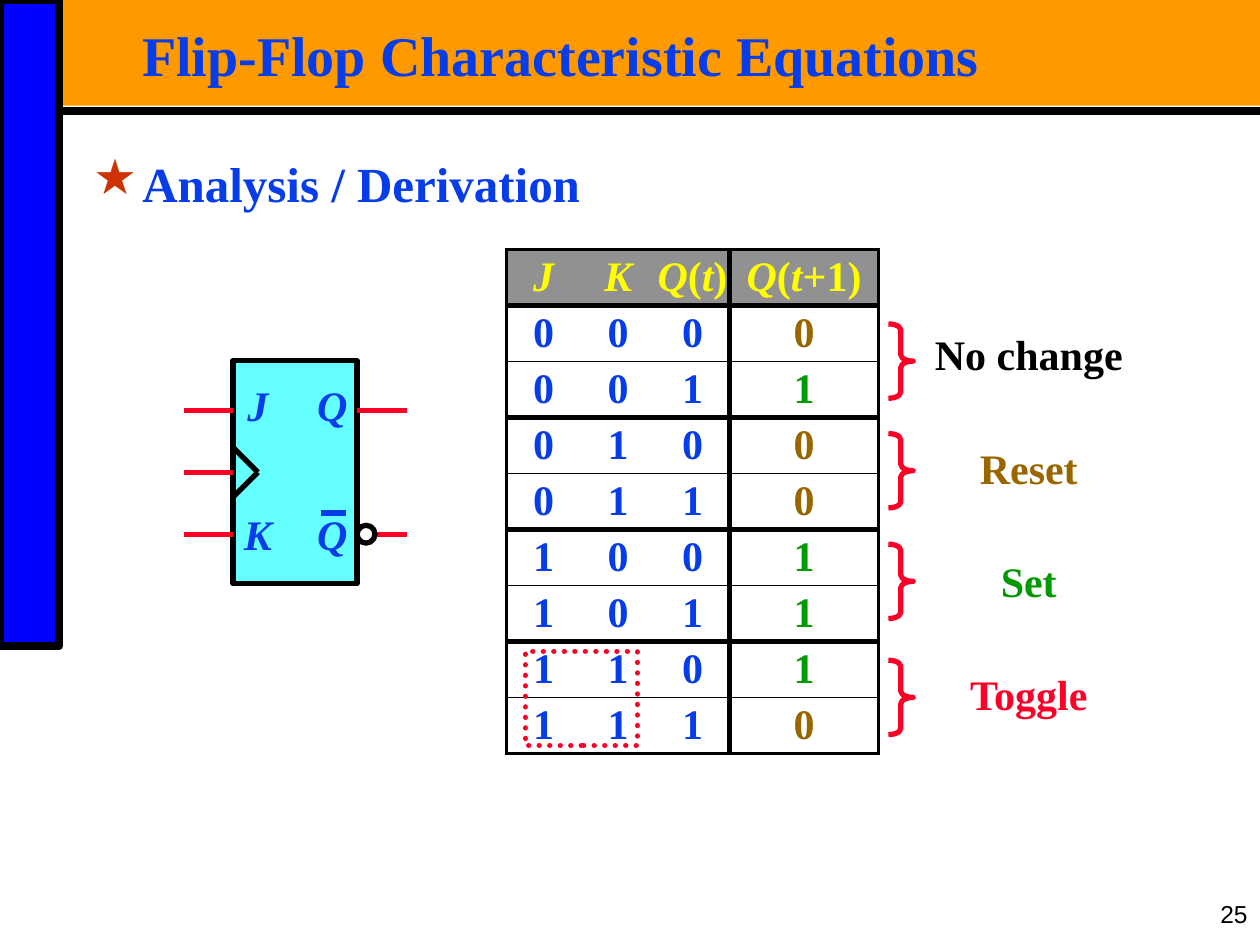
from dataclasses import dataclass
from itertools import groupby, product

from pptx import Presentation, util as u
from pptx.dml.color import RGBColor
from pptx.enum import dml, shapes, text
from pptx.oxml import parse_xml
from pptx.oxml.ns import nsdecls, qn

Cm, Pt = u.Cm, u.Pt
Kind = shapes.MSO_SHAPE
Side = text.PP_ALIGN
Hold = text.MSO_ANCHOR


@dataclass(frozen=True)
class Theme:
    serif: str = "Times New Roman"
    sans: str = "Arial"
    black: str = "000000"
    white: str = "FFFFFF"
    orange: str = "FF9900"
    band: str = "0000FF"
    blue: str = "063DE8"
    star: str = "CC3300"
    cyan: str = "66FFFF"
    red: str = "FC0128"
    grey: str = "919191"
    yellow: str = "FFFF00"
    brown: str = "996600"
    green: str = "009900"
    title: int = 32
    head: int = 28
    body: int = 24
    small: int = 14
    thick: float = 4.5
    line: float = 3
    frame: float = 2.25
    thin: float = 1


class Pen:
    """Draws styled parts on the current slide or group."""

    def __init__(self, slide, theme):
        self.slide, self.theme = slide, theme
        self.host = slide.shapes

    def group(self):
        self.host = self.slide.shapes.add_group_shape().shapes

    def ungroup(self):
        self.host = self.slide.shapes

    def font(self, para, size, color, bold=True, slant=False, face=None):
        for run in para.runs:
            font = run.font
            font.name, font.size = face or self.theme.serif, Pt(size)
            font.bold, font.italic = bold, slant
            font.color.rgb = RGBColor.from_string(color)

    def shape(self, kind, x, y, w, h, fill=None, line=None, width=3):
        item = self.host.add_shape(kind, Cm(x), Cm(y), Cm(w), Cm(h))
        item.shadow.inherit = False
        if fill:
            item.fill.solid()
            item.fill.fore_color.rgb = RGBColor.from_string(fill)
        else:
            item.fill.background()
        if line:
            item.line.color.rgb = RGBColor.from_string(line)
            item.line.width = Pt(width)
        else:
            item.line.fill.background()
        return item

    def wire(self, x1, y1, x2, y2, color, width=3):
        item = self.host.add_connector(
            shapes.MSO_CONNECTOR.STRAIGHT, Cm(x1), Cm(y1), Cm(x2), Cm(y2))
        item.line.color.rgb = RGBColor.from_string(color)
        item.line.width = Pt(width)
        item.element.spPr.append(parse_xml(f"<a:effectLst {nsdecls('a')}/>"))
        return item

    def label(self, x, y, w, h, words, size, color, align=Side.LEFT, pad=(0, 0),
              space=1.0, anchor=Hold.TOP, **style):
        box = self.host.add_textbox(Cm(x), Cm(y), Cm(w), Cm(h))
        frame = box.text_frame
        frame.word_wrap, frame.vertical_anchor = True, anchor
        frame.margin_left = frame.margin_right = Cm(pad[0])
        frame.margin_top = frame.margin_bottom = Cm(pad[1])
        frame.text = words
        for para in frame.paragraphs:
            para.alignment, para.line_spacing = align, space
            self.font(para, size, color, **style)
        return frame

    def bullet(self, para, mark, color, indent):
        props = para._p.get_or_add_pPr()
        props.set("marL", str(Cm(indent)))
        props.set("indent", str(-Cm(indent)))
        props.append(parse_xml(
            f'<a:buClr {nsdecls("a")}><a:srgbClr val="{color}"/></a:buClr>'))
        props.append(parse_xml(f'<a:buChar {nsdecls("a")} char="{mark}"/>'))

    def grid(self, x, y, cols, rows, high):
        table = self.host.add_table(rows, len(cols), Cm(x), Cm(y),
                                    Cm(sum(cols)), Cm(rows * high)).table
        table.first_row = table.horz_banding = False
        for col, width in zip(table.columns, cols):
            col.width = Cm(width)
        for row in table.rows:
            row.height = Cm(high)
        return table

    def cell(self, cell, words, color, fill, edges):
        """Edges are line widths: left, right, top, bottom."""
        cell.margin_left = cell.margin_right = 0
        cell.margin_top = cell.margin_bottom = 0
        cell.vertical_anchor = Hold.MIDDLE
        cell.fill.solid()
        cell.fill.fore_color.rgb = RGBColor.from_string(fill)
        para = cell.text_frame.paragraphs[0]
        para.alignment = Side.CENTER
        for _, chars in groupby(words, str.isalpha):
            para.add_run().text = "".join(chars)
        self.font(para, self.theme.body, color)
        for run in para.runs:
            run.font.italic = run.text.isalpha()
        props = cell._tc.get_or_add_tcPr()
        for i, (side, width) in enumerate(zip("LRTB", edges)):
            paint = (f'<a:solidFill><a:srgbClr val="{self.theme.black}"/></a:solidFill>'
                     if width else "<a:noFill/>")
            props.insert(i, parse_xml(
                f'<a:ln{side} {nsdecls("a")} w="{Pt(width)}">{paint}</a:ln{side}>'))


def main():
    deck = Presentation()
    deck.slide_width, deck.slide_height = Cm(25.4), Cm(19.05)
    t = Theme()
    pen = Pen(deck.slides.add_slide(deck.slide_layouts[6]), t)

    # Frame and headings
    pen.shape(Kind.RECTANGLE, 1.19, 0, 24.21, 2.13, t.orange)
    pen.shape(Kind.RECTANGLE, 0, 0, 1.19, 13.03, t.band, t.black, t.thick)
    pen.wire(1.19, 2.23, 25.4, 2.23, t.black, t.thick)
    pen.label(22.07, 18.03, 3.33, 0.81, "25", t.small, t.black, Side.RIGHT,
              (0.25, 0.13), anchor=Hold.BOTTOM, bold=False, face=t.sans)
    pen.label(2.69, 0.53, 22, 1.32, "Flip-Flop Characteristic Equations",
              t.title, t.blue, pad=(0.18, 0.08), space=0.87)
    topic = pen.label(1.7, 3.02, 23, 1.32, "Analysis / Derivation",
                      t.head, t.blue, pad=(0.18, 0.08))
    pen.bullet(topic.paragraphs[0], "★", t.star, 0.99)

    # JK symbol: body, clock mark, pins, names
    pen.group()
    left, top, wide, high = 4.7, 7.27, 2.5, 4.5
    right, mid = left + wide, top + high / 2
    body = pen.shape(Kind.RECTANGLE, left, top, wide, high, t.cyan, t.black, t.line)
    for dy in (-0.5, 0.5):
        pen.wire(left, mid + dy, left + 0.5, mid, t.black, t.line)
    for dy in (-1.25, 1.25):
        pen.wire(left, mid + dy, left - 1, mid + dy, t.red, t.line)
        pen.wire(right + 1, mid + dy, right, mid + dy, t.red, t.line)
    clock = pen.wire(left, mid, left - 1, mid, t.red, t.line)
    clock.begin_connect(body, 1)
    pen.shape(Kind.OVAL, right, mid + 1.07, 0.36, 0.36, t.white, t.black, t.line)
    for name, dx, dy in (("J", 0, 0.5), ("Q", 1.5, 0.5),
                         ("K", 0, 3.1), ("Q", 1.5, 3.1)):
        pen.label(left + dx, top + dy, 1, 0.91, name, t.body, t.blue,
                  Side.CENTER, space=0.9, slant=True)
    pen.wire(6.98, 10.34, 6.48, 10.34, t.blue, t.line)
    pen.ungroup()

    # Truth table: Q(t+1) = JQ' + K'Q
    rows = [("J", "K", "Q(t)", "Q(t+1)")]
    for j, k, q in product((0, 1), repeat=3):
        rows.append((j, k, q, int(j and not q or q and not k)))
    table = pen.grid(10.21, 5.03, (1.5, 1.5, 1.5, 3), len(rows), 1.13)
    across = [t.frame, 0, 0, t.line, t.frame]
    down = [t.frame] + [t.line, t.thin] * 4 + [t.frame]
    for r, row in enumerate(rows):
        for c, value in enumerate(row):
            color = t.blue
            if r == 0:
                color = t.yellow
            elif c == 3:
                color = t.green if value else t.brown
            pen.cell(table.cell(r, c), str(value), color, t.white if r else t.grey,
                     across[c:c + 2] + down[r:r + 2])

    # Meaning of each pair of rows
    modes = {"No change": t.black, "Reset": t.brown, "Set": t.green, "Toggle": t.red}
    notes = pen.label(18.49, 6.53, 4.5, 7.8, "\n".join(modes), t.body, t.black,
                      Side.CENTER, space=1.1)
    for para, color in zip(notes.paragraphs, modes.values()):
        pen.font(para, t.body, color)
    for para in notes.paragraphs[1:]:
        para.space_before = Pt(33)
    for y in (6.53, 8.74, 10.97, 13.31):
        brace = pen.shape(Kind.RIGHT_BRACE, 17.91, y, 0.5, 1.5, None, t.red, t.line)
        brace.adjustments[0] = 0.25

    # Dotted box on the toggle inputs
    dots = pen.shape(Kind.RECTANGLE, 10.59, 13.13, 2.26, 1.9, None, t.red, t.line)
    dots.line.dash_style = dml.MSO_LINE.ROUND_DOT
    dots.element.spPr.find(qn("a:ln")).set("cap", "rnd")

    deck.save("out.pptx")


if __name__ == "__main__":
    main()
